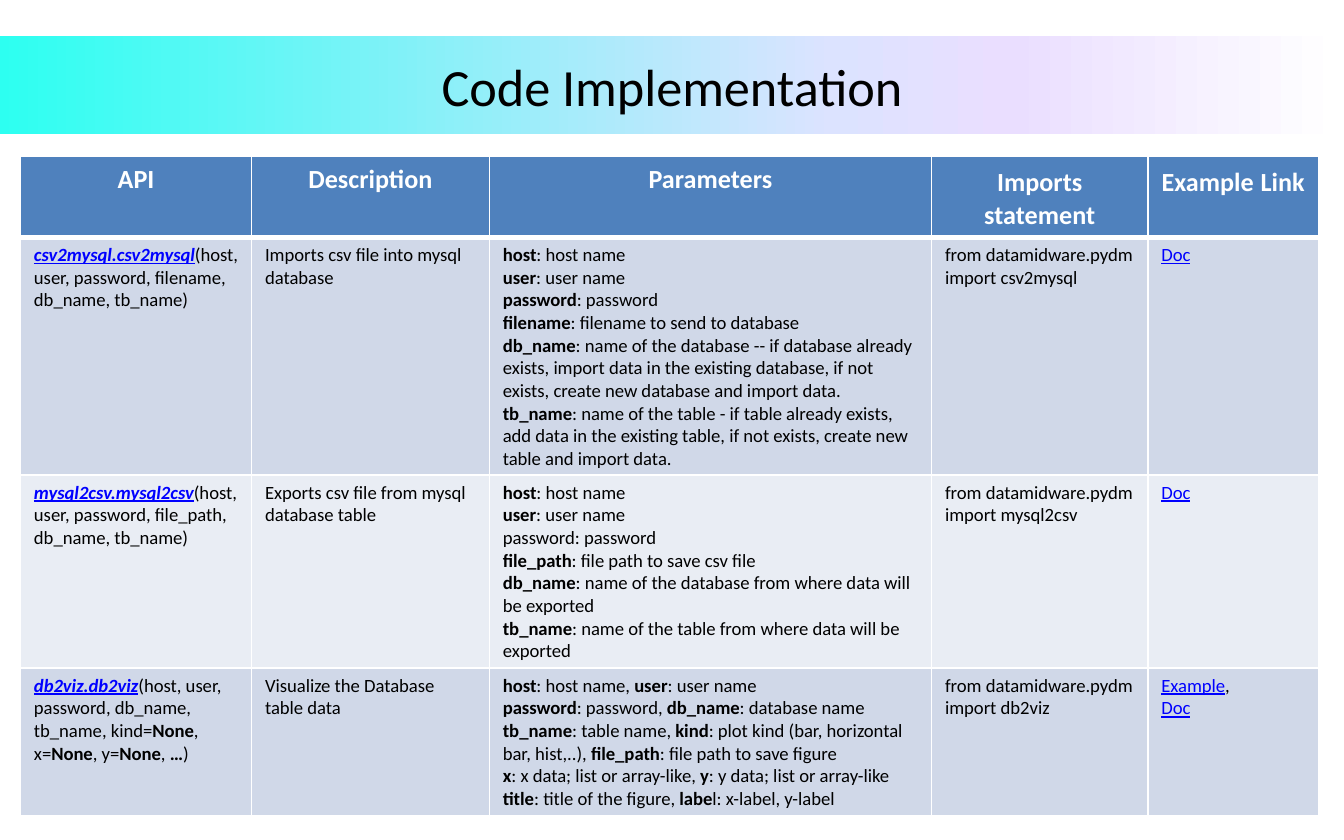
from copy import deepcopy
from dataclasses import dataclass

from lxml import etree
from pptx import Presentation
from pptx.dml.color import RGBColor
from pptx.enum import shapes, text
from pptx.oxml import ns
from pptx.util import Pt

FONT = "Calibri"
BLACK = RGBColor(0x00, 0x00, 0x00)
WHITE = RGBColor(0xFF, 0xFF, 0xFF)
LINK_BLUE = RGBColor(0x00, 0x00, 0xFF)
HEADER_BLUE = RGBColor(0x4F, 0x81, 0xBD)
ROW_FILLS = (RGBColor(0xD0, 0xD8, 0xE8), RGBColor(0xE9, 0xED, 0xF4))
BANNER_STOPS = (
    (0, RGBColor(0x2D, 0xFF, 0xF1)),
    (62, RGBColor(0xDC, 0xE3, 0xFF)),
    (75, RGBColor(0xEA, 0xDE, 0xFF)),
    (100, WHITE),
)

SLIDE_WIDTH, SLIDE_HEIGHT = 720, 450
BANNER_TOP, BANNER_HEIGHT = 19.5, 52.5
TITLE_MARGIN = 8.64
TABLE_LEFT, TABLE_TOP, TABLE_HEIGHT = 11, 83.8, 352.8
COLUMN_WIDTHS = (123.8, 127.4, 236.9, 115.9, 91.4)
HEADER_HEIGHT, ROW_HEIGHT = 33.8, 59.8
HEADERS = ("API", "Description", "Parameters", "Imports statement", "Example Link")


@dataclass(frozen=True)
class ApiEntry:
    """One table row; asterisks in its texts switch bold on and off."""
    module: str
    arguments: str
    description: str
    parameters: tuple[str, ...]
    links: tuple[str, ...] = ("Doc",)


ENTRIES = (
    ApiEntry(
        "csv2mysql",
        "(host, user, password, filename, db_name, tb_name)",
        "Imports csv file into mysql database",
        ("*host*: host name\n*user*: user name\n*password*: password\n"
         "*filename*: filename to send to database\n"
         "*db_name*: name of the database -- if database already exists, import data "
         "in the existing database, if not exists, create new database and import data.\n"
         "*tb_name*: name of the table - if table already exists, add data in the "
         "existing table, if not exists, create new table and import data.",),
    ),
    ApiEntry(
        "mysql2csv",
        "(host, user, password, file_path, db_name, tb_name)",
        "Exports csv file from mysql database table",
        ("*host*: host name\n*user*: user name\npassword: password\n"
         "*file_path*: file path to save csv file\n"
         "*db_name*: name of the database from where data will be exported\n"
         "*tb_name*: name of the table from where data will be exported",),
    ),
    ApiEntry(
        "db2viz",
        "(host, user, password, db_name, tb_name, kind=*None*, x=*None*, y=*None*, *…*)",
        "Visualize the Database table data",
        ("*host*: host name, *user*: user name\n"
         "*password*: password, *db_name*: database name\n"
         "*tb_name*: table name, *kind*: plot kind (bar, horizontal bar, hist,..), "
         "*file_path*: file path to save figure",
         "*x*: x data; list or array-like, *y*: y data; list or array-like "
         "*title*: title of the figure, *labe*l: x-label, y-label"),
        ("Example", "Doc"),
    ),
)


def style_paragraph(paragraph, size: float, color: RGBColor, bold: bool = False) -> None:
    font = paragraph.font
    font.name, font.size, font.bold = FONT, Pt(size), bold
    font.color.rgb = color


def add_marked_text(paragraph, marked: str) -> None:
    for index, part in enumerate(marked.split("*")):
        for line_number, line in enumerate(part.split("\n")):
            if line_number:
                paragraph.add_line_break()
            if line:
                run = paragraph.add_run()
                run.text = line
                if index % 2:
                    run.font.bold = True


def add_link(paragraph, label: str, emphasized: bool = False) -> None:
    run = paragraph.add_run()
    run.text = label
    run.font.underline = True
    run.font.color.rgb = LINK_BLUE
    if emphasized:
        run.font.bold = run.font.italic = True


def body_paragraphs(cell, count: int = 1) -> list:
    frame = cell.text_frame
    paragraphs = [frame.paragraphs[0], *(frame.add_paragraph() for _ in range(count - 1))]
    for paragraph in paragraphs:
        style_paragraph(paragraph, 10, BLACK)
    return paragraphs


def fill_cell(cell, color: RGBColor) -> None:
    cell.fill.solid()
    cell.fill.fore_color.rgb = color


def add_header_borders(cell) -> None:
    properties = cell._tc.get_or_add_tcPr()
    for side, width in (("L", 1), ("R", 1), ("T", 1), ("B", 3)):
        line = etree.SubElement(properties, ns.qn(f"a:ln{side}"), w=str(Pt(width)))
        solid = etree.SubElement(line, ns.qn("a:solidFill"))
        etree.SubElement(solid, ns.qn("a:srgbClr"), val=str(WHITE))


def draw_header(cell, label: str) -> None:
    paragraph = cell.text_frame.paragraphs[0]
    paragraph.alignment = text.PP_ALIGN.CENTER
    style_paragraph(paragraph, 14, WHITE, bold=True)
    for index, word in enumerate(label.split()):
        if index:
            gap = paragraph.add_run()
            gap.text = " "
            gap.font.size = Pt(16)
        paragraph.add_run().text = word
    add_header_borders(cell)
    fill_cell(cell, HEADER_BLUE)


def draw_entry(cells, entry: ApiEntry, color: RGBColor) -> None:
    api, description, parameters, imports, links = cells
    signature = body_paragraphs(api)[0]
    add_link(signature, f"{entry.module}.{entry.module}", emphasized=True)
    add_marked_text(signature, entry.arguments)
    add_marked_text(body_paragraphs(description)[0], entry.description)
    for paragraph, marked in zip(body_paragraphs(parameters, len(entry.parameters)),
                                 entry.parameters):
        add_marked_text(paragraph, marked)
    add_marked_text(body_paragraphs(imports)[0],
                    f"from datamidware.pydm import {entry.module}")
    for paragraph, label in zip(body_paragraphs(links, len(entry.links)), entry.links):
        add_link(paragraph, label)
        if label != entry.links[-1]:
            add_marked_text(paragraph, ",")
    for cell in cells:
        fill_cell(cell, color)


def draw_banner(slide) -> None:
    banner = slide.shapes.add_shape(shapes.MSO_SHAPE.RECTANGLE, 0, Pt(BANNER_TOP),
                                    Pt(SLIDE_WIDTH), Pt(BANNER_HEIGHT))
    banner.shadow.inherit = False
    banner.line.fill.background()
    banner.fill.gradient()
    banner.fill.gradient_angle = 0
    stop_list = banner._element.spPr.find(".//" + ns.qn("a:gsLst"))
    for _ in range(len(BANNER_STOPS) - len(stop_list)):
        stop_list.append(deepcopy(stop_list[0]))
    for stop, (percent, color) in zip(banner.fill.gradient_stops, BANNER_STOPS):
        stop.position = percent / 100
        stop.color.rgb = color


def draw_title(slide) -> None:
    title = slide.shapes.add_textbox(Pt(TITLE_MARGIN), Pt(BANNER_TOP),
                                     Pt(SLIDE_WIDTH - 2 * TITLE_MARGIN), Pt(BANNER_HEIGHT))
    frame = title.text_frame
    frame.word_wrap = True
    frame.vertical_anchor = text.MSO_ANCHOR.MIDDLE
    frame.margin_left = frame.margin_right = frame.margin_top = frame.margin_bottom = 0
    paragraph = frame.paragraphs[0]
    paragraph.alignment = text.PP_ALIGN.CENTER
    style_paragraph(paragraph, 28, BLACK)
    paragraph.add_run().text = "Code Implementation"


def draw_api_table(slide) -> None:
    holder = slide.shapes.add_table(len(ENTRIES) + 1, len(HEADERS), Pt(TABLE_LEFT),
                                    Pt(TABLE_TOP), Pt(sum(COLUMN_WIDTHS)), Pt(TABLE_HEIGHT))
    table = holder.table
    for column, width in zip(table.columns, COLUMN_WIDTHS):
        column.width = Pt(width)
    header, *body = table.rows
    header.height = Pt(HEADER_HEIGHT)
    for cell, label in zip(header.cells, HEADERS):
        draw_header(cell, label)
    for index, (row, entry) in enumerate(zip(body, ENTRIES)):
        row.height = Pt(ROW_HEIGHT)
        draw_entry(list(row.cells), entry, ROW_FILLS[index % 2])
    holder.height = Pt(TABLE_HEIGHT)


def main() -> None:
    deck = Presentation()
    deck.slide_width, deck.slide_height = Pt(SLIDE_WIDTH), Pt(SLIDE_HEIGHT)
    slide = deck.slides.add_slide(deck.slide_layouts[6])
    draw_banner(slide)
    draw_title(slide)
    draw_api_table(slide)
    deck.save("out.pptx")


if __name__ == "__main__":
    main()
